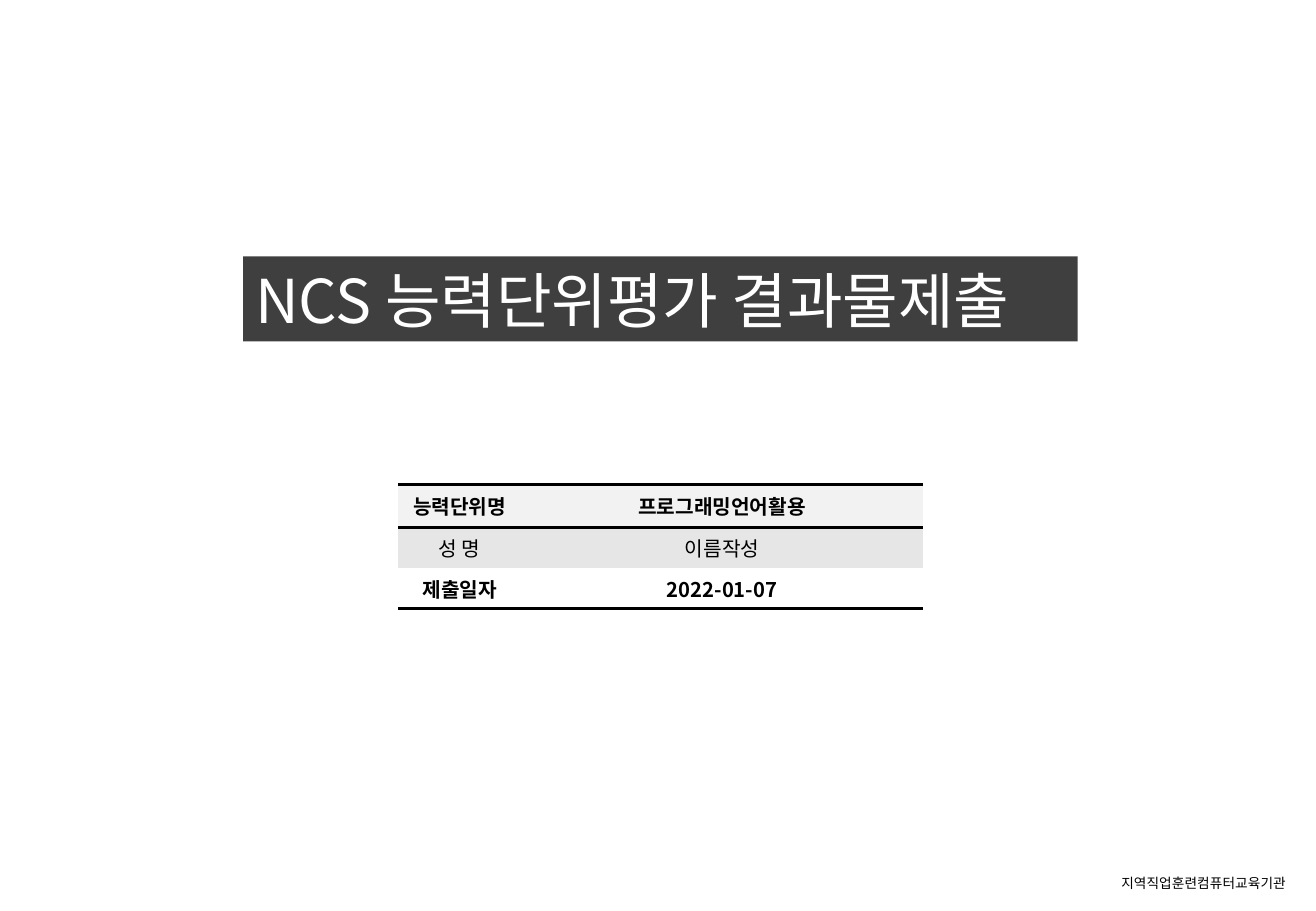
from dataclasses import dataclass

from lxml.etree import SubElement
from pptx import Presentation
from pptx.dml.color import RGBColor
from pptx.enum.text import MSO_ANCHOR as Anchor, MSO_AUTO_SIZE as AutoSize, PP_ALIGN as Align
from pptx.oxml.ns import qn
from pptx.slide import Slide
from pptx.table import _Cell as Cell
from pptx.text.text import TextFrame
from pptx.util import Cm, Pt

BLACK = RGBColor(0x00, 0x00, 0x00)
WHITE = RGBColor(0xFF, 0xFF, 0xFF)
CHARCOAL = RGBColor(0x3F, 0x3F, 0x3F)
PALE_GREY = RGBColor(0xF2, 0xF2, 0xF2)
LIGHT_GREY = RGBColor(0xE6, 0xE6, 0xE6)
KOREAN_FONT = "Noto Sans CJK KR"
RULE_WIDTH = Pt(2)


@dataclass
class InfoRow:
    label: str
    value: str
    height: float
    fill: RGBColor
    bold: bool
    font_name: str = KOREAN_FONT
    rule_above: bool = False
    rule_below: bool = False


INFO_ROWS = [
    InfoRow("능력단위명", "프로그래밍언어활용", 0.91, PALE_GREY, True, "Arial", True, True),
    InfoRow("성 명", "이름작성", 0.84, LIGHT_GREY, False, rule_above=True),
    InfoRow("제출일자", "2022-01-07", 0.84, WHITE, True, rule_below=True),
]
COLUMN_WIDTHS = (2.56, 8.41)


def write_text(frame: TextFrame, text: str, align: Align, color: RGBColor, **formats) -> None:
    paragraph = frame.paragraphs[0]
    paragraph.alignment = align
    run = paragraph.add_run()
    run.text = text
    for name, value in formats.items():
        setattr(run.font, name, value)
    run.font.color.rgb = color
    # Hangul takes its typeface from the East Asian font
    SubElement(run.font._element, qn("a:ea"), typeface=KOREAN_FONT)


def set_borders(cell: Cell, above: bool, below: bool) -> None:
    properties = cell._tc.get_or_add_tcPr()
    for side, ruled in {"L": False, "R": False, "T": above, "B": below}.items():
        line = SubElement(properties, qn(f"a:ln{side}"), w=str(RULE_WIDTH if ruled else 0))
        if ruled:
            fill = SubElement(line, qn("a:solidFill"))
            SubElement(fill, qn("a:srgbClr"), val=str(BLACK))
        else:
            SubElement(line, qn("a:noFill"))


def add_title(slide: Slide) -> None:
    title = slide.shapes.title
    box = {"left": Cm(5.08), "top": Cm(5.36), "width": Cm(17.45), "height": Cm(1.78)}
    for name, value in box.items():
        setattr(title, name, value)
    title.fill.solid()
    title.fill.fore_color.rgb = CHARCOAL
    frame = title.text_frame
    frame.auto_size = AutoSize.NONE
    frame.vertical_anchor = Anchor.MIDDLE
    write_text(frame, "NCS 능력단위평가 결과물제출", Align.LEFT, WHITE,
               size=Pt(35.8), name=KOREAN_FONT)


def add_info_table(slide: Slide) -> None:
    table = slide.shapes.add_table(
        len(INFO_ROWS), len(COLUMN_WIDTHS), Cm(8.33), Cm(10.13),
        Cm(sum(COLUMN_WIDTHS)), Cm(sum(row.height for row in INFO_ROWS))).table
    table.first_row = table.horz_banding = False
    for column, width in zip(table.columns, COLUMN_WIDTHS):
        column.width = Cm(width)
    cell_format = {
        "vertical_anchor": Anchor.MIDDLE,
        "margin_left": Cm(0.2), "margin_right": Cm(0.2),
        "margin_top": Cm(0.1), "margin_bottom": Cm(0.1),
    }
    for table_row, row in zip(table.rows, INFO_ROWS):
        table_row.height = Cm(row.height)
        for cell, text in zip(table_row.cells, (row.label, row.value)):
            for name, value in cell_format.items():
                setattr(cell, name, value)
            set_borders(cell, row.rule_above, row.rule_below)
            cell.fill.solid()
            cell.fill.fore_color.rgb = row.fill
            write_text(cell.text_frame, text, Align.CENTER, BLACK,
                       size=Pt(12), name=row.font_name, bold=row.bold)


def add_academy_name(slide: Slide) -> None:
    frame = slide.shapes.add_textbox(Cm(23.19), Cm(18.16), Cm(4.27), Cm(0.61)).text_frame
    frame.word_wrap = True
    write_text(frame, "지역직업훈련컴퓨터교육기관", Align.LEFT, BLACK,
               size=Pt(8.1), name=KOREAN_FONT)


def main() -> None:
    presentation = Presentation()
    presentation.slide_width = Cm(27.51)
    presentation.slide_height = Cm(19.05)
    slide = presentation.slides.add_slide(presentation.slide_layouts.get_by_name("Title Only"))

    # Title bar, submission details, footer
    add_title(slide)
    add_info_table(slide)
    add_academy_name(slide)
    presentation.save("out.pptx")


if __name__ == "__main__":
    main()
